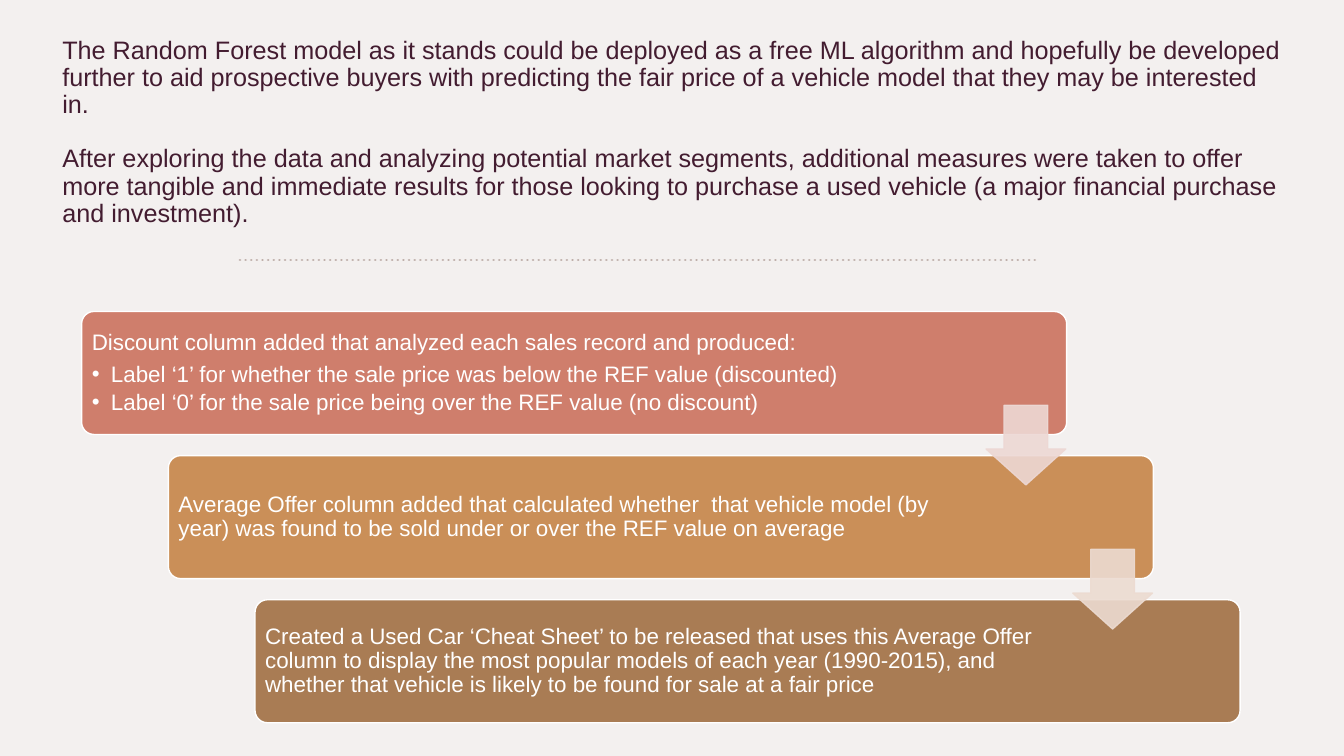
from lxml import etree
from pptx import Presentation
from pptx.dml.color import RGBColor
from pptx.enum.dml import MSO_LINE
from pptx.enum.shapes import MSO_CONNECTOR, MSO_SHAPE
from pptx.enum.text import MSO_ANCHOR
from pptx.oxml.ns import qn
from pptx.util import Inches, Pt

ROUND_RECT = MSO_SHAPE.ROUNDED_RECTANGLE
DOWN_ARROW = MSO_SHAPE.DOWN_ARROW
STRAIGHT = MSO_CONNECTOR.STRAIGHT
DOTTED = MSO_LINE.ROUND_DOT
MIDDLE = MSO_ANCHOR.MIDDLE
FONT = "Arial"
COLORS = {
    "background": "F3F0EF", "intro": "431C30", "divider": "BFAFAA", "white": "FFFFFF",
    "discount": "CF7E6C", "average": "CA8F58", "cheat sheet": "A97C54",
    "arrow 1": "EDD8D4", "arrow 2": "ECDBD1",
}
INTRO = [
    "The Random Forest model as it stands could be deployed as a free ML algorithm and "
    "hopefully be developed further to aid prospective buyers with predicting the fair "
    "price of a vehicle model that they may be interested in.",
    "After exploring the data and analyzing potential market segments, additional measures "
    "were taken to offer more tangible and immediate results for those looking to purchase "
    "a used vehicle (a major financial purchase and investment).",
]
# colour, text width, heading, bullets
STEPS = [
    ("discount", 8.45,
     "Discount column added that analyzed each sales record and produced:",
     ["Label ‘1’ for whether the sale price was below the REF value (discounted)",
      "Label ‘0’ for the sale price being over the REF value (no discount)"]),
    ("average", 8.04,
     "Average Offer column added that calculated whether  that vehicle model (by year) "
     "was found to be sold under or over the REF value on average", []),
    ("cheat sheet", 8.04,
     "Created a Used Car ‘Cheat Sheet’ to be released that uses this Average Offer column "
     "to display the most popular models of each year (1990-2015), and whether that "
     "vehicle is likely to be found for sale at a fair price", []),
]
ARROWS = ["arrow 1", "arrow 2"]

STEP_LEFT, STEP_TOP, STEP_W, STEP_H = 0.81, 3.09, 9.77, 1.22
SHIFT_X, SHIFT_Y = 0.86, 1.43
TEXT_PAD = 0.03
ARROW_LEFT, ARROW_TOP, ARROW_SIZE = 9.78, 4.02, 0.79
ARROW_OPACITY = 90


def rgb(name):
    return RGBColor.from_string(COLORS[name])


def set_opacity(fill, percent):
    """Add an alpha value to a solid fill element."""
    etree.SubElement(fill[0], qn("a:alpha"), val=str(percent * 1000))


def add_block(shapes, kind, box, adjustments, fill, line):
    s = shapes.add_shape(kind, *map(Inches, box))
    s.shadow.inherit = False
    for i, value in enumerate(adjustments):
        s.adjustments[i] = value
    s.fill.solid()
    s.fill.fore_color.rgb = rgb(fill)
    s.line.color.rgb = rgb(line)
    s.line.width = Pt(1)
    return s


def add_text(shapes, box, lines, size, color, inset=None):
    tf = shapes.add_textbox(*map(Inches, box)).text_frame
    tf.word_wrap = True
    tf.vertical_anchor = MIDDLE
    if inset is not None:
        tf.margin_left = tf.margin_right = tf.margin_top = tf.margin_bottom = Inches(inset)
    tf.text = "\n".join(lines)
    for p in tf.paragraphs:
        p.line_spacing = 0.9
        font = p.runs[0].font
        font.name, font.size, font.color.rgb = FONT, Pt(size), rgb(color)
    return tf


def make_bullet(p):
    p.level = 1
    p.space_after = Pt(2.8)
    pPr = p._p.get_or_add_pPr()
    pPr.set("marL", str(Inches(0.19)))
    pPr.set("indent", str(-Inches(0.19)))
    etree.SubElement(pPr, qn("a:buFont"), typeface=FONT)
    etree.SubElement(pPr, qn("a:buChar"), char="•")


def main():
    prs = Presentation()
    prs.slide_width, prs.slide_height = Inches(13.33), Inches(7.5)
    slide = prs.slides.add_slide(prs.slide_layouts[6])
    slide.background.fill.solid()
    slide.background.fill.fore_color.rgb = rgb("background")
    shapes = slide.shapes

    intro = add_text(shapes, (0.52, 0.05, 12.3, 2.53), INTRO, 18, "intro")
    intro.paragraphs[0].space_after = Pt(19.4)

    divider = shapes.add_connector(STRAIGHT, Inches(2.38), Inches(2.58),
                                   Inches(10.27), Inches(2.58))
    divider.line.color.rgb = rgb("divider")
    divider.line.width = Pt(2)
    divider.line.dash_style = DOTTED
    spPr = divider._element.spPr
    spPr.find(qn("a:ln")).set("cap", "rnd")
    etree.SubElement(spPr, qn("a:effectLst"))

    for i, (color, text_w, heading, bullets) in enumerate(STEPS):
        left, top = STEP_LEFT + i * SHIFT_X, STEP_TOP + i * SHIFT_Y
        add_block(shapes, ROUND_RECT, (left, top, STEP_W, STEP_H), [0.1], color, "white")
        box = (left + TEXT_PAD, top + TEXT_PAD, text_w, STEP_H - 2 * TEXT_PAD)
        tf = add_text(shapes, box, [heading, *bullets], 16, "white", inset=0.07)
        tf.paragraphs[0].space_after = Pt(5.6)
        for p in tf.paragraphs[1:]:
            make_bullet(p)

    for i, color in enumerate(ARROWS):
        box = (ARROW_LEFT + i * SHIFT_X, ARROW_TOP + i * SHIFT_Y, ARROW_SIZE, ARROW_SIZE)
        arrow = add_block(shapes, DOWN_ARROW, box, [0.55, 0.45], color, color)
        for fill in arrow._element.spPr.iter(qn("a:solidFill")):
            set_opacity(fill, ARROW_OPACITY)

    prs.save("out.pptx")


if __name__ == "__main__":
    main()
